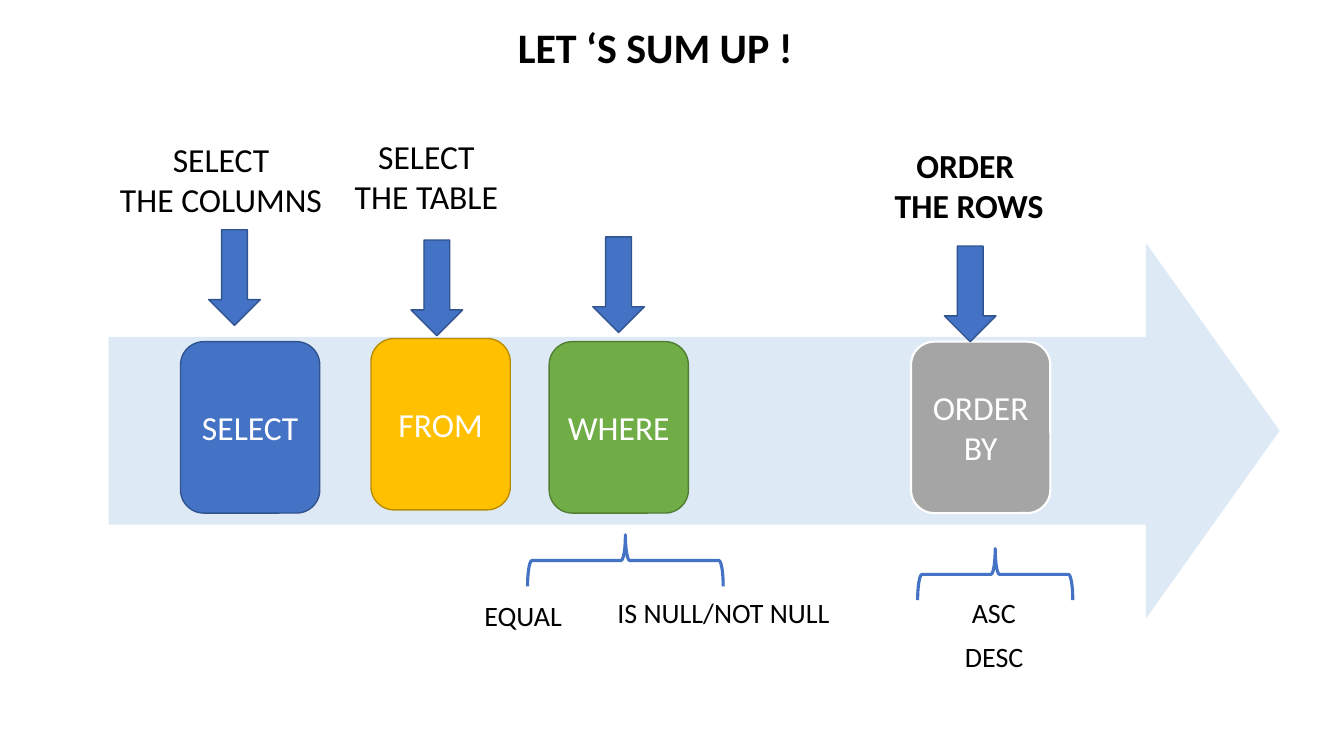
from pptx import Presentation
from pptx.dml.color import RGBColor
from pptx.enum.shapes import MSO_SHAPE
from pptx.enum.text import MSO_ANCHOR, MSO_AUTO_SIZE, PP_ALIGN
from pptx.util import Cm, Pt

BLACK = RGBColor(0x00, 0x00, 0x00)
WHITE = RGBColor(0xFF, 0xFF, 0xFF)
PALE_BLUE = RGBColor(0xDD, 0xEA, 0xF6)
BLUE = RGBColor(0x44, 0x72, 0xC4)
DARK_BLUE = RGBColor(0x31, 0x53, 0x8F)
GOLD = RGBColor(0xFF, 0xC0, 0x00)
DARK_GOLD = RGBColor(0xBA, 0x8C, 0x00)
GREEN = RGBColor(0x70, 0xAD, 0x47)
DARK_GREEN = RGBColor(0x51, 0x7E, 0x33)
GREY = RGBColor(0xA5, 0xA5, 0xA5)


def write(tf, text, size, color, bold=False, align=PP_ALIGN.CENTER):
    tf.text = text
    for p in tf.paragraphs:
        p.alignment = align
        for r in p.runs:
            r.font.name = "Calibri"
            r.font.size = Pt(size)
            r.font.bold = bold
            r.font.color.rgb = color


def add_outline(s, kind, x, y, w, h, fill=None, line=None, weight=1):
    sp = s.shapes.add_shape(kind, Cm(x), Cm(y), Cm(w), Cm(h))
    sp.shadow.inherit = False
    if fill is None:
        sp.fill.background()
    else:
        sp.fill.solid()
        sp.fill.fore_color.rgb = fill
    if line is None:
        sp.line.fill.background()
    else:
        sp.line.color.rgb = line
        sp.line.width = Pt(weight)
    return sp


def add_clause(s, text, x, y, fill, line, weight=1):
    sp = add_outline(s, MSO_SHAPE.ROUNDED_RECTANGLE, x, y, 3.51, 4.32,
                     fill, line, weight)
    tf = sp.text_frame
    tf.word_wrap = True
    tf.vertical_anchor = MSO_ANCHOR.MIDDLE
    write(tf, text, 24, WHITE)


def add_down_arrow(s, x, y):
    add_outline(s, MSO_SHAPE.DOWN_ARROW, x, y, 1.3, 2.41, BLUE, DARK_BLUE)


def add_brace(s, x, y, span):
    sp = add_outline(s, MSO_SHAPE.LEFT_BRACE, x, y, 1.3, span,
                     line=BLUE, weight=2.25)
    sp.rotation = 90


def add_label(s, text, x, y, w, h, size, bold=False, align=PP_ALIGN.CENTER):
    tf = s.shapes.add_textbox(Cm(x), Cm(y), Cm(w), Cm(h)).text_frame
    tf.word_wrap = False
    tf.auto_size = MSO_AUTO_SIZE.SHAPE_TO_FIT_TEXT
    write(tf, text, size, BLACK, bold, align)


def main():
    prs = Presentation()
    prs.slide_width, prs.slide_height = Cm(33.87), Cm(19.05)
    s = prs.slides.add_slide(prs.slide_layouts[6])

    # Title
    add_label(s, "LET ‘S SUM UP !", 12.8, 0.43, 7.52, 1.55, 30, True, PP_ALIGN.LEFT)

    # Query flow
    flow = add_outline(s, MSO_SHAPE.RIGHT_ARROW, 2.74, 6.12, 29.51, 9.47, PALE_BLUE)
    flow.adjustments[1] = 0.356

    # Clauses
    add_clause(s, "SELECT", 4.55, 8.61, BLUE, DARK_BLUE)
    add_clause(s, "FROM", 9.35, 8.53, GOLD, DARK_GOLD)
    add_clause(s, "WHERE", 13.84, 8.61, GREEN, DARK_GREEN)
    add_clause(s, "ORDER\vBY", 22.96, 8.61, GREY, WHITE, 1.5)

    # Arrows pointing at the clauses
    for x, y in ((5.26, 5.79), (10.36, 6.05), (14.94, 5.97), (23.8, 6.2)):
        add_down_arrow(s, x, y)

    # What each clause does
    for text, x, y, w, bold in (
        ("SELECT\nTHE COLUMNS", 2.74, 3.38, 5.66, False),
        ("SELECT\nTHE TABLE", 8.66, 3.3, 4.17, False),
        ("ORDER \nTHE ROWS", 22.28, 3.53, 4.29, True),
    ):
        add_label(s, text, x, y, w, 2.31, 24, bold)

    # Options below the clauses
    add_brace(s, 15.11, 11.66, 4.93)
    add_brace(s, 24.43, 12.52, 3.91)
    for text, x, y, w in (
        ("EQUAL", 11.94, 14.96, 2.49),
        ("IS NULL/NOT NULL", 15.29, 14.88, 5.89),
        ("ASC", 24.23, 14.88, 1.63),
        ("DESC", 24.05, 16, 2.01),
    ):
        add_label(s, text, x, y, w, 1.12, 20)

    prs.save("out.pptx")


if __name__ == "__main__":
    main()
